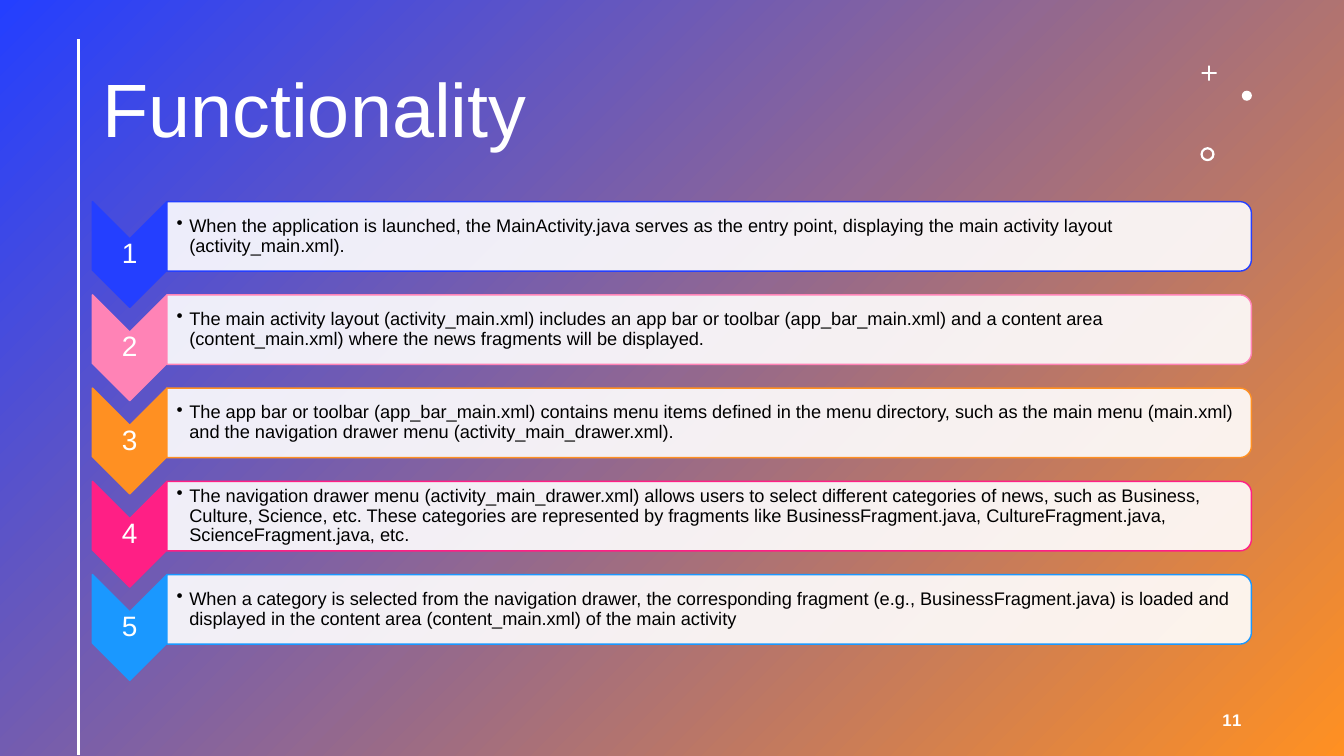
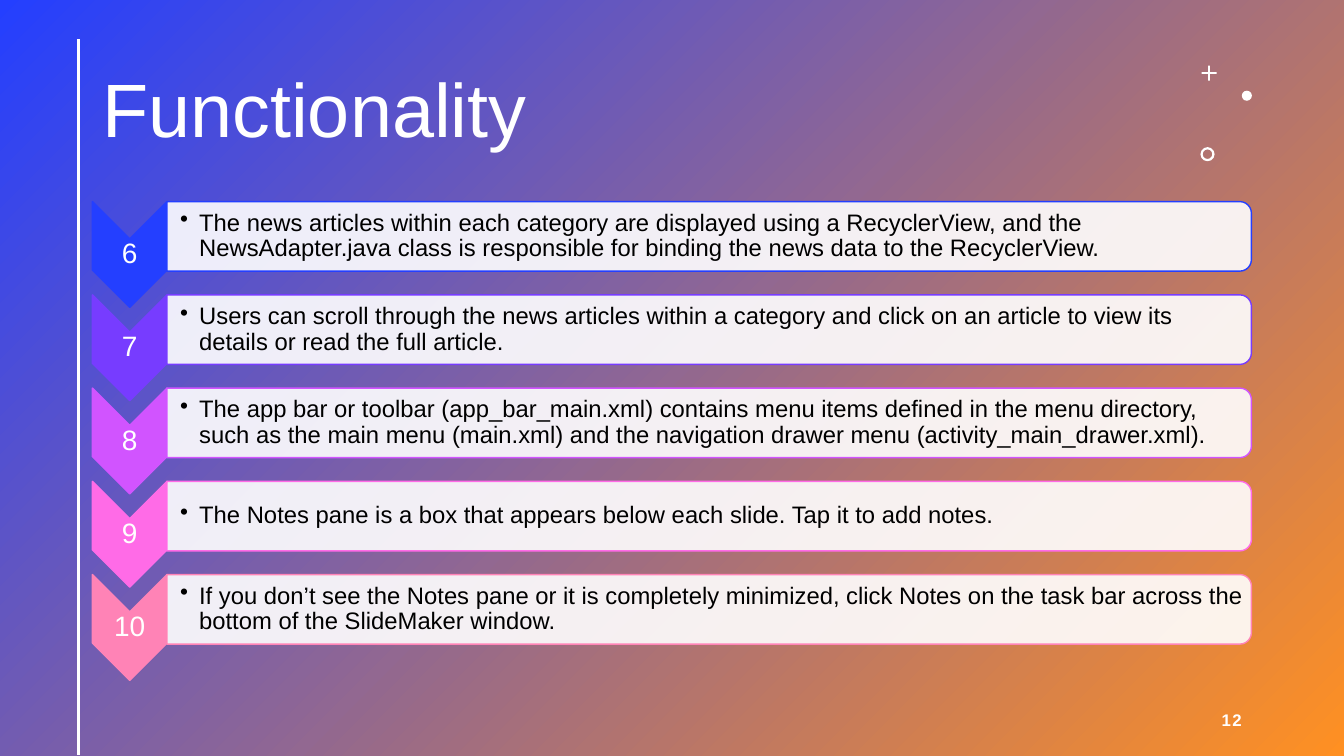
"""Build two slides of numbered steps on a shared gradient style."""
from lxml import etree
from pptx import Presentation
from pptx import util as u
from pptx.dml.color import RGBColor
from pptx.enum import shapes, text
from pptx.oxml import ns

WHITE = RGBColor(0xFF, 0xFF, 0xFF)
BLACK = RGBColor(0x00, 0x00, 0x00)
BLUE = RGBColor(0x24, 0x3F, 0xFF)
ORANGE = RGBColor(0xFF, 0x90, 0x22)
ROSE = RGBColor(0xFF, 0x83, 0xB6)
MAGENTA = RGBColor(0xFF, 0x1F, 0x85)
SKY = RGBColor(0x1A, 0x98, 0xFF)
VIOLET = RGBColor(0x77, 0x3C, 0xFF)
ORCHID = RGBColor(0xD1, 0x54, 0xFF)
PINK = RGBColor(0xFF, 0x6B, 0xE7)

COLUMNS, ROWS = 160, 90
FONT = "Arial"
Kind = shapes.MSO_SHAPE
Align = text.PP_ALIGN

FIRST_STEP, STEP_PITCH = 24, 11.1
CHEVRON_LEFT, CHEVRON_WIDTH, CHEVRON_HEIGHT = 11, 8.88, 12.6
CARD_LEFT, CARD_WIDTH, CARD_HEIGHT = 19.86, 129.12, 8.28

LAUNCH_STEPS = [
    (BLUE, "When the application is launched, the MainActivity.java serves as the entry point, "
           "displaying the main activity layout (activity_main.xml)."),
    (ROSE, "The main activity layout (activity_main.xml) includes an app bar or toolbar "
           "(app_bar_main.xml) and a content area (content_main.xml) where the news fragments "
           "will be displayed."),
    (ORANGE, "The app bar or toolbar (app_bar_main.xml) contains menu items defined in the menu "
             "directory, such as the main menu (main.xml) and the navigation drawer menu "
             "(activity_main_drawer.xml)."),
    (MAGENTA, "The navigation drawer menu (activity_main_drawer.xml) allows users to select "
              "different categories of news, such as Business, Culture, Science, etc. These "
              "categories are represented by fragments like BusinessFragment.java, "
              "CultureFragment.java, ScienceFragment.java, etc."),
    (SKY, "When a category is selected from the navigation drawer, the corresponding fragment "
          "(e.g., BusinessFragment.java) is loaded and displayed in the content area "
          "(content_main.xml) of the main activity"),
]
READING_STEPS = [
    (BLUE, "The news articles within each category are displayed using a RecyclerView, and the "
           "NewsAdapter.java class is responsible for binding the news data to the RecyclerView."),
    (VIOLET, "Users can scroll through the news articles within a category and click on an "
             "article to view its details or read the full article."),
    (ORCHID, LAUNCH_STEPS[2][1]),
    (PINK, "The Notes pane is a box that appears below each slide. Tap it to add notes."),
    (ROSE, "If you don’t see the Notes pane or it is completely minimized, click Notes on the "
           "task bar across the bottom of the SlideMaker window."),
]


class StepDeck:
    """Hold the style, the deck and the current page."""

    def __init__(self):
        self.deck = Presentation()
        self.deck.slide_width = u.Inches(40 / 3)
        self.deck.slide_height = u.Inches(7.5)
        self.page = None

    def across(self, columns):
        """Turn grid columns into a length."""
        return u.Emu(round(self.deck.slide_width * columns / COLUMNS))

    def down(self, rows):
        """Turn grid rows into a length."""
        return u.Emu(round(self.deck.slide_height * rows / ROWS))

    def place(self, left, top, width, height):
        """Turn a grid place into four lengths."""
        return self.across(left), self.down(top), self.across(width), self.down(height)

    def shape(self, kind, left, top, width, height, fill=None, line=None, adjust=None):
        """Draw a preset shape without shadow."""
        box = self.page.shapes.add_shape(kind, *self.place(left, top, width, height))
        box.shadow.inherit = False
        if fill is not None:
            box.fill.solid()
            box.fill.fore_color.rgb = fill
        if line is None:
            box.line.fill.background()
        else:
            box.line.color.rgb = line
            box.line.width = u.Pt(1)
        if adjust is not None:
            box.adjustments[0] = adjust
        return box

    def turned(self, kind, left, top, width, height, fill, line):
        """Draw a shape turned a quarter clockwise that covers the given place."""
        shift = (width - height) / 2
        box = self.shape(kind, left + shift, top - shift, height, width, fill, line)
        box.rotation = 90
        return box

    def text(self, words, left, top, width, height, size, color=WHITE, align=Align.LEFT,
             bold=False, spacing=None, insets=None, hanging=None):
        """Write one vertically centred paragraph."""
        box = self.page.shapes.add_textbox(*self.place(left, top, width, height))
        frame = box.text_frame
        frame.word_wrap = True
        frame.vertical_anchor = text.MSO_ANCHOR.MIDDLE
        if insets is not None:
            frame.margin_left, frame.margin_right = map(self.across, insets)
            frame.margin_top = frame.margin_bottom = self.down(0.1)
        para = frame.paragraphs[0]
        para.alignment = align
        para.line_spacing = 0.9
        if hanging is not None:
            self.bullet(para, hanging)
        span = para.add_run()
        span.text = words
        font = span.font
        font.name, font.size, font.bold = FONT, u.Pt(size), bold
        font.color.rgb = color
        if spacing is not None:
            font._element.set("spc", str(spacing * 100))

    def bullet(self, para, hanging):
        """Give a paragraph a round bullet and a hanging indent."""
        props = para._p.get_or_add_pPr()
        props.set("marL", str(self.across(hanging)))
        props.set("indent", str(-self.across(hanging)))
        etree.SubElement(props, ns.qn("a:buChar")).set("char", "•")

    def backdrop(self):
        """Cover the page with the diagonal gradient."""
        box = self.shape(Kind.RECTANGLE, 0, 0, COLUMNS, ROWS)
        box.fill.gradient()
        box.fill.gradient_angle = 315
        for stop, color in zip(box.fill.gradient_stops, (BLUE, ORANGE)):
            stop.color.rgb = color

    def side_rule(self):
        """Draw the upright white rule at the left."""
        column = self.across(9.36)
        rule = self.page.shapes.add_connector(
            shapes.MSO_CONNECTOR.STRAIGHT, column, self.down(4.7), column, self.down(89.9))
        rule.line.color.rgb = WHITE
        rule.line.width = u.Pt(2)
        etree.SubElement(rule._element.spPr, ns.qn("a:effectLst"))

    def ornaments(self):
        """Draw the plus, dot and ring at the top right."""
        self.shape(Kind.CROSS, 143.04, 7.8, 1.8, 1.8, WHITE, adjust=0.44)
        self.shape(Kind.OVAL, 147.84, 10.8, 1.2, 1.2, WHITE)
        self.shape(Kind.DONUT, 142.92, 17.52, 1.68, 1.68, WHITE, adjust=0.16)

    def start_page(self, title, number):
        """Add a page with everything the pages share."""
        self.page = self.deck.slides.add_slide(self.deck.slide_layouts[6])
        self.backdrop()
        self.text(title, 11, 4.8, 128.6, 17.4, 54)
        self.side_rule()
        self.ornaments()
        self.text(str(number), 113, 83.4, 36, 4.8, 12, align=Align.RIGHT, bold=True, spacing=1)

    def step(self, number, words, color, top, size, inset, hanging):
        """Draw a numbered chevron with its card."""
        self.turned(Kind.CHEVRON, CHEVRON_LEFT, top, CHEVRON_WIDTH, CHEVRON_HEIGHT, color, color)
        self.text(str(number), CHEVRON_LEFT, top + 4.4, CHEVRON_WIDTH, 3.8, 20,
                  align=Align.CENTER, insets=(0.1, 0.1))
        card = self.turned(Kind.ROUND_2_SAME_RECTANGLE, CARD_LEFT, top, CARD_WIDTH, CARD_HEIGHT,
                           WHITE, color)
        tone = card._element.spPr.find(".//" + ns.qn("a:srgbClr"))
        etree.SubElement(tone, ns.qn("a:alpha")).set("val", "90000")
        self.text(words, CARD_LEFT, top + 0.4, CARD_WIDTH - 0.36, CARD_HEIGHT - 0.8, size, BLACK,
                  insets=(inset, 0.1), hanging=hanging)

    def step_page(self, number, first, steps, size, inset, hanging):
        """Add a page with evenly spaced steps."""
        self.start_page("Functionality", number)
        for index, (color, words) in enumerate(steps):
            top = FIRST_STEP + index * STEP_PITCH
            self.step(first + index, words, color, top, size, inset, hanging)


def main():
    """Build and save the deck."""
    show = StepDeck()
    show.step_page(11, 1, LAUNCH_STEPS, size=13, inset=1.2, hanging=1.5)
    show.step_page(12, 6, READING_STEPS, size=17, inset=1.6, hanging=2.25)
    show.deck.save("out.pptx")


if __name__ == "__main__":
    main()
